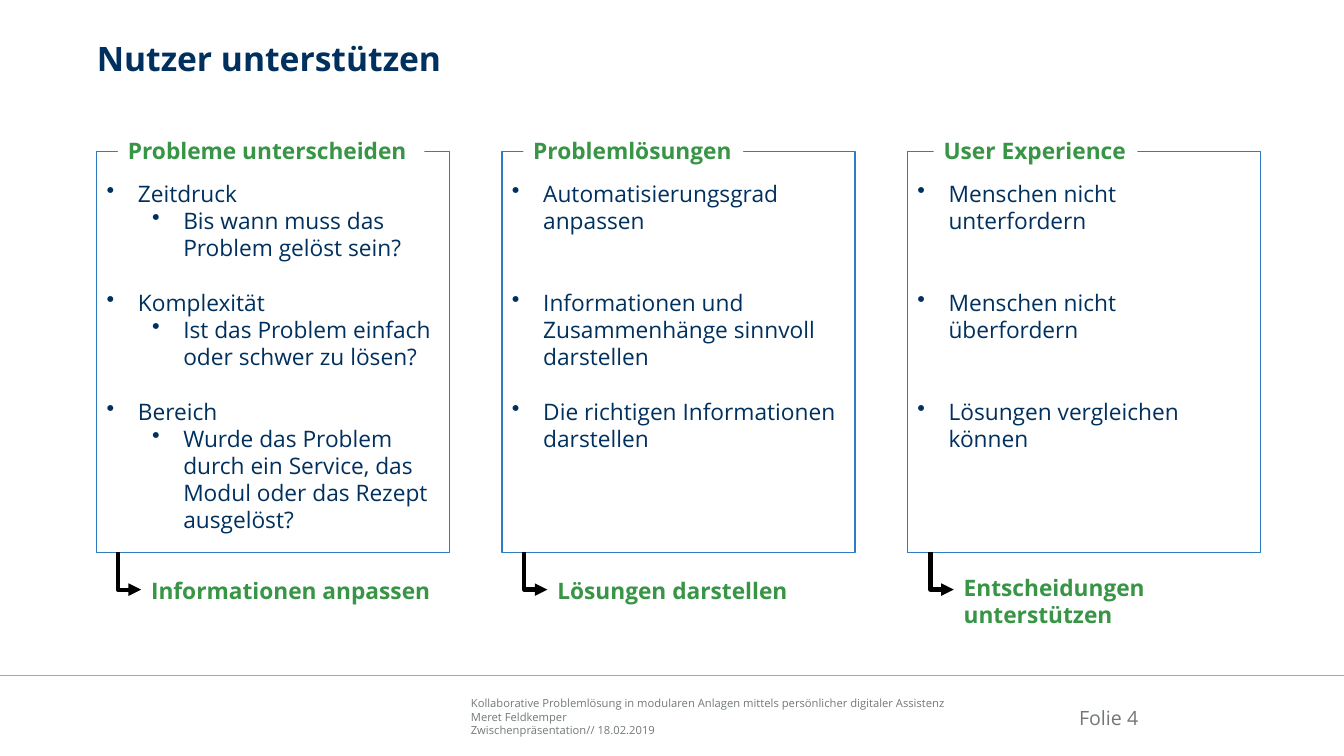
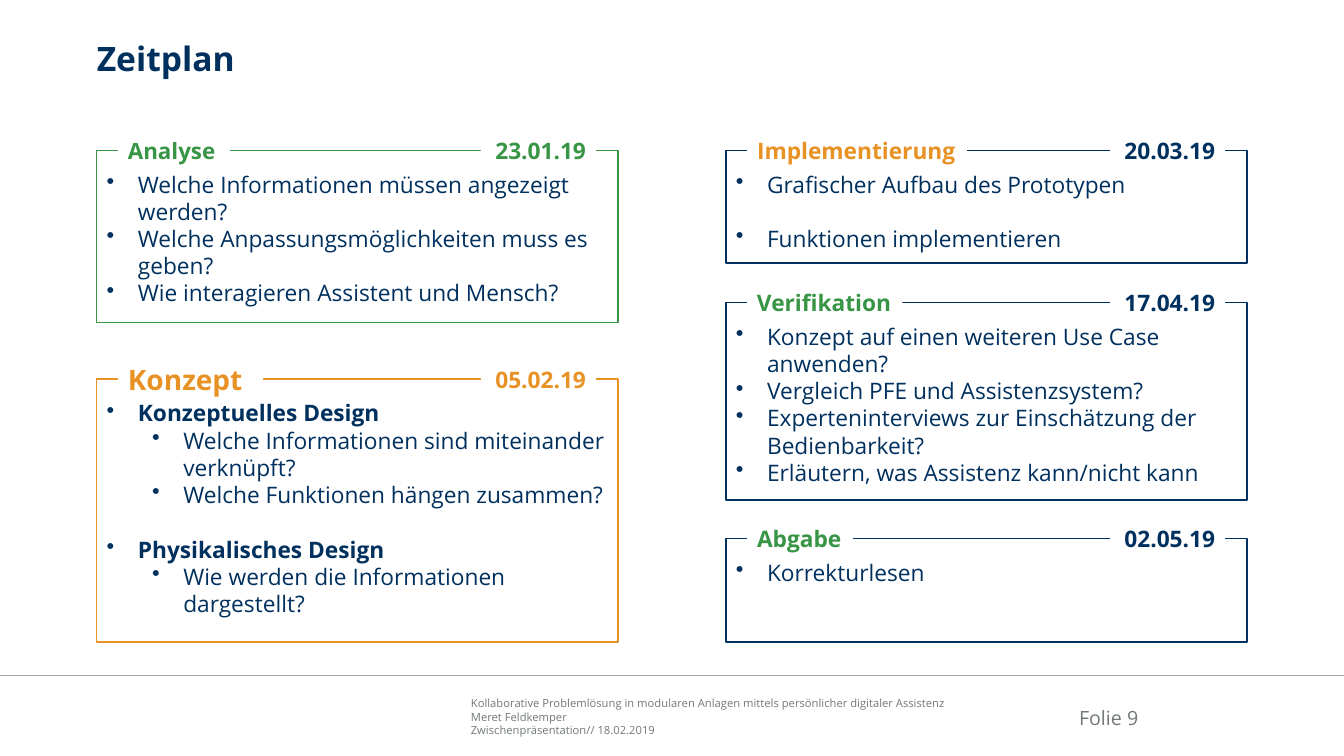
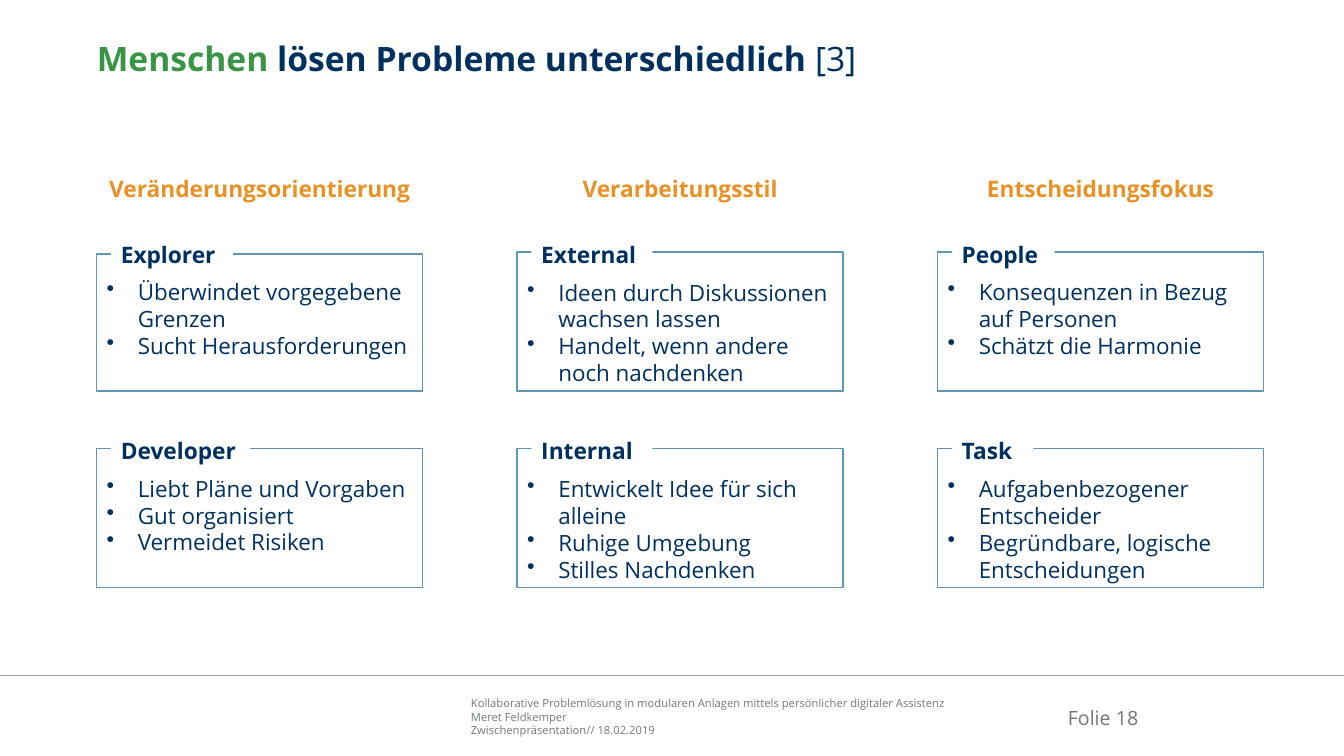
from dataclasses import dataclass

from pptx import Presentation
from pptx.dml.color import RGBColor
from pptx.enum.shapes import MSO_CONNECTOR, MSO_SHAPE
from pptx.enum.text import MSO_ANCHOR, PP_ALIGN
from pptx.oxml.ns import qn
from pptx.oxml.xmlchemy import OxmlElement
from pptx.util import Inches, Pt

NAVY = RGBColor(0x00, 0x30, 0x5E)
GREEN = RGBColor(0x37, 0x95, 0x45)
ORANGE = RGBColor(0xE8, 0x91, 0x24)
BLUE = RGBColor(0x30, 0x7C, 0xC0)
STEEL = RGBColor(0x60, 0x96, 0xB3)
GRAY = RGBColor(0x72, 0x78, 0x79)
RULE_GRAY = RGBColor(0xA6, 0xA6, 0xA6)
BLACK = RGBColor(0, 0, 0)
WHITE = RGBColor(0xFF, 0xFF, 0xFF)

FONT = "Open Sans"
TEXT_SIZE = 16.2
BLANK_LINE = 19.5
LEFT = 0.96
LABEL_HEIGHT = 0.37
FOOTER = (
    "Kollaborative Problemlösung in modularen Anlagen mittels persönlicher digitaler Assistenz",
    "Meret Feldkemper",
    "Zwischenpräsentation// 18.02.2019",
)


@dataclass
class Item:
    text: str
    level: int = 0
    gap: int = 0
    bold: bool = False


def add_run(paragraph, text, size, color, bold=False):
    run = paragraph.add_run()
    run.text = text
    run.font.name = FONT
    run.font.size = Pt(size)
    run.font.bold = bold
    run.font.color.rgb = color


def set_insets(frame, left, top, right, bottom):
    frame.margin_left, frame.margin_top = Inches(left), Inches(top)
    frame.margin_right, frame.margin_bottom = Inches(right), Inches(bottom)


def add_rect(slide, left, top, width, height, border=None):
    rect = slide.shapes.add_shape(
        MSO_SHAPE.RECTANGLE, Inches(left), Inches(top), Inches(width), Inches(height)
    )
    rect.shadow.inherit = False
    rect.fill.solid()
    rect.fill.fore_color.rgb = WHITE
    if border is None:
        rect.line.fill.background()
    else:
        rect.line.color.rgb = border
        rect.line.width = Pt(1)
    rect.text_frame.word_wrap = True
    return rect


def add_label(slide, left, top, width, text, color, height=LABEL_HEIGHT,
              size=TEXT_SIZE, align=PP_ALIGN.LEFT):
    frame = add_rect(slide, left, top, width, height).text_frame
    frame.vertical_anchor = MSO_ANCHOR.MIDDLE
    paragraph = frame.paragraphs[0]
    paragraph.alignment = align
    add_run(paragraph, text, size, color, True)


def add_bullet(paragraph, item, size):
    paragraph.alignment = PP_ALIGN.LEFT
    paragraph.level = item.level
    paragraph.space_before = Pt(item.gap * BLANK_LINE)
    properties = paragraph._p.get_or_add_pPr()
    properties.set("marL", str(Inches(0.31 + 0.45 * item.level)))
    properties.set("indent", str(-Inches(0.31)))
    bullet = OxmlElement("a:buChar")
    bullet.set("char", "•")
    properties.append(bullet)
    add_run(paragraph, item.text, size, NAVY, item.bold)


def add_list_box(slide, left, top, width, height, border, items, inset_top=0.05,
                 inset_bottom=0.05, anchor=MSO_ANCHOR.TOP, size=TEXT_SIZE):
    frame = add_rect(slide, left, top, width, height, border).text_frame
    frame.vertical_anchor = anchor
    set_insets(frame, 0.1, inset_top, 0.1, inset_bottom)
    for index, item in enumerate(items):
        paragraph = frame.add_paragraph() if index else frame.paragraphs[0]
        add_bullet(paragraph, item, size)


def add_line(slide, kind, start, end, color, width):
    line = slide.shapes.add_connector(kind, *map(Inches, start + end))
    line.line.color.rgb = color
    line.line.width = Pt(width)
    line._element.spPr.append(OxmlElement("a:effectLst"))
    return line


def add_corner_arrow(slide, left, top, across, down):
    center_x, center_y = left + across / 2, top + down / 2
    arrow = add_line(
        slide, MSO_CONNECTOR.ELBOW,
        (center_x + down / 2, center_y - across / 2),
        (center_x - down / 2, center_y + across / 2), BLACK, 3,
    )
    properties = arrow._element.spPr
    properties.find(qn("a:xfrm")).set("rot", str(270 * 60000))
    properties.find(qn("a:prstGeom")).set("prst", "bentConnector2")
    head = OxmlElement("a:tailEnd")
    head.set("type", "triangle")
    properties.find(qn("a:ln")).append(head)


def add_plain_text(slide, left, top, width, height, lines, size, align):
    box = slide.shapes.add_textbox(Inches(left), Inches(top), Inches(width), Inches(height))
    frame = box.text_frame
    frame.word_wrap = True
    frame.vertical_anchor = MSO_ANCHOR.BOTTOM
    set_insets(frame, 0, 0, 0, 0)
    for index, text in enumerate(lines):
        paragraph = frame.add_paragraph() if index else frame.paragraphs[0]
        paragraph.alignment = align
        add_run(paragraph, text, size, GRAY)
    return box


def style_layout(layout):
    title = layout.placeholders[0]
    title.left, title.top = Inches(LEFT), Inches(0.38)
    title.width, title.height = Inches(11.57), Inches(0.75)
    title.text_frame.vertical_anchor = MSO_ANCHOR.TOP
    set_insets(title.text_frame, 0, 0, 0, 0)


def move_footer_to_layout(slide, layout):
    footer = add_plain_text(slide, 4.67, 6.91, 4.91, 0.4, FOOTER, 8, PP_ALIGN.LEFT)
    rule = add_line(slide, MSO_CONNECTOR.STRAIGHT, (0, 6.7), (13.33, 6.7), RULE_GRAY, 1)
    for part in (footer, rule):
        layout.shapes.element.append(part._element)


def add_slide(deck, layout, number, title_runs):
    slide = deck.slides.add_slide(layout)
    paragraph = slide.shapes.title.text_frame.paragraphs[0]
    paragraph.alignment = PP_ALIGN.LEFT
    for text, color, bold in title_runs:
        add_run(paragraph, text, 24, color, bold)
    add_plain_text(slide, 10.3, 6.87, 0.99, 0.37, [f"Folie {number}"], 14, PP_ALIGN.RIGHT)
    return slide


def fill_support(slide):
    columns = [
        ("Probleme unterscheiden", 1.17, 3.04, [
            Item("Zeitdruck"),
            Item("Bis wann muss das Problem gelöst sein?", 1),
            Item("Komplexität", gap=1),
            Item("Ist das Problem einfach oder schwer zu lösen?", 1),
            Item("Bereich", gap=1),
            Item("Wurde das Problem durch ein Service, das Modul oder das Rezept ausgelöst?", 1),
        ], "Informationen anpassen", 5.67, 3.04, LABEL_HEIGHT),
        ("Problemlösungen", 5.19, 2.18, [
            Item("Automatisierungsgrad anpassen"),
            Item("Informationen und Zusammenhänge sinnvoll darstellen", gap=2),
            Item("Die richtigen Informationen darstellen", gap=1),
        ], "Lösungen darstellen", 5.67, 2.53, LABEL_HEIGHT),
        ("User Experience", 9.26, 2.02, [
            Item("Menschen nicht unterfordern"),
            Item("Menschen nicht überfordern", gap=2),
            Item("Lösungen vergleichen können", gap=2),
        ], "Entscheidungen unterstützen", 5.65, 3.13, 0.63),
    ]
    for index, column in enumerate(columns):
        heading, heading_left, heading_width, items, outcome, top, width, height = column
        arrow_left = 1.17 + index * 4.03
        add_list_box(slide, LEFT + index * 4.02, 1.5, 3.5, 3.98, BLUE, items, 0.28)
        add_label(slide, heading_left, 1.31, heading_width, heading, GREEN)
        add_label(slide, arrow_left + 0.23, top, width, outcome, GREEN, height)
        add_corner_arrow(slide, arrow_left, 5.48, 0.23, 0.37)


def fill_schedule(slide):
    right = 7.2
    phases = [
        (LEFT, 1.49, 1.71, GREEN, "Analyse", 1.11, GREEN, 16, "23.01.19", GREEN, [
            Item("Welche Informationen müssen angezeigt werden?"),
            Item("Welche Anpassungsmöglichkeiten muss es geben?"),
            Item("Wie interagieren Assistent und Mensch?"),
        ]),
        (LEFT, 3.76, 2.61, ORANGE, "Konzept", 1.44, ORANGE, 20, "05.02.19", ORANGE, [
            Item("Konzeptuelles Design", bold=True),
            Item("Welche Informationen sind miteinander verknüpft?", 1),
            Item("Welche Funktionen hängen zusammen?", 1),
            Item("Physikalisches Design", gap=1, bold=True),
            Item("Wie werden die Informationen dargestellt?", 1),
        ]),
        (right, 1.49, 1.12, NAVY, "Implementierung", 2.18, ORANGE, TEXT_SIZE, "20.03.19", NAVY, [
            Item("Grafischer Aufbau des Prototypen"),
            Item("Funktionen implementieren", gap=1),
        ]),
        (right, 3, 1.96, NAVY, "Verifikation", 1.54, GREEN, TEXT_SIZE, "17.04.19", NAVY, [
            Item("Konzept auf einen weiteren Use Case anwenden?"),
            Item("Vergleich PFE und Assistenzsystem?"),
            Item("Experteninterviews zur Einschätzung der Bedienbarkeit?"),
            Item("Erläutern, was Assistenz kann/nicht kann"),
        ]),
        (right, 5.34, 1.03, NAVY, "Abgabe", 1.05, GREEN, TEXT_SIZE, "02.05.19", NAVY, [
            Item("Korrekturlesen"),
        ]),
    ]
    for left, top, height, border, name, width, color, size, date, date_color, items in phases:
        label_top = top - 0.18
        add_list_box(slide, left, top, 5.17, height, border, items, 0.2)
        add_label(slide, left + 0.21, label_top, width, name, color, size=size)
        add_label(slide, left + 3.81, label_top, 1.14, date, date_color, align=PP_ALIGN.RIGHT)


def fill_styles(slide):
    dimensions = [
        ("Veränderungsorientierung", [
            ("Explorer", 1.21, 2.52, 1,
             ["Überwindet vorgegebene Grenzen", "Sucht Herausforderungen"]),
            ("Developer", 1.38, 4.45, 1,
             ["Liebt Pläne und Vorgaben", "Gut organisiert", "Vermeidet Risiken"]),
        ]),
        ("Verarbeitungsstil", [
            ("External", 1.2, 2.5, 0,
             ["Ideen durch Diskussionen wachsen lassen", "Handelt, wenn andere noch nachdenken"]),
            ("Internal", 1.2, 4.45, 0,
             ["Entwickelt Idee für sich alleine", "Ruhige Umgebung", "Stilles Nachdenken"]),
        ]),
        ("Entscheidungsfokus", [
            ("People", 1.02, 2.5, 1,
             ["Konsequenzen in Bezug auf Personen", "Schätzt die Harmonie"]),
            ("Task", 0.81, 4.45, 0,
             ["Aufgabenbezogener Entscheider", "Begründbare, logische Entscheidungen"]),
        ]),
    ]
    rows = ((2.27, 3.88), (4.22, 5.83))
    for index, (dimension, styles) in enumerate(dimensions):
        left = LEFT + index * 4.17
        add_label(slide, left, 1.62, 3.23, dimension, ORANGE, 0.5, align=PP_ALIGN.CENTER)
        for (label_top, bottom), (name, width, top, free_lines, traits) in zip(rows, styles):
            add_list_box(
                slide, left, top, 3.23, bottom - top, STEEL, [Item(trait) for trait in traits],
                inset_bottom=0.05 + 0.27 * free_lines, anchor=MSO_ANCHOR.BOTTOM, size=16,
            )
            add_label(slide, left + 0.14, label_top, width, name, NAVY, 0.5)


def main():
    deck = Presentation()
    deck.slide_width, deck.slide_height = Inches(13.33), Inches(7.5)
    layout = deck.slide_layouts.get_by_name("Title Only")
    style_layout(layout)

    support = add_slide(deck, layout, 4, [("Nutzer unterstützen", NAVY, True)])
    move_footer_to_layout(support, layout)
    fill_support(support)

    fill_schedule(add_slide(deck, layout, 9, [("Zeitplan", NAVY, True)]))

    fill_styles(add_slide(deck, layout, 18, [
        ("Menschen", GREEN, True),
        (" lösen Probleme unterschiedlich ", NAVY, True),
        ("[3]", NAVY, False),
    ]))
    deck.save("out.pptx")


if __name__ == "__main__":
    main()
